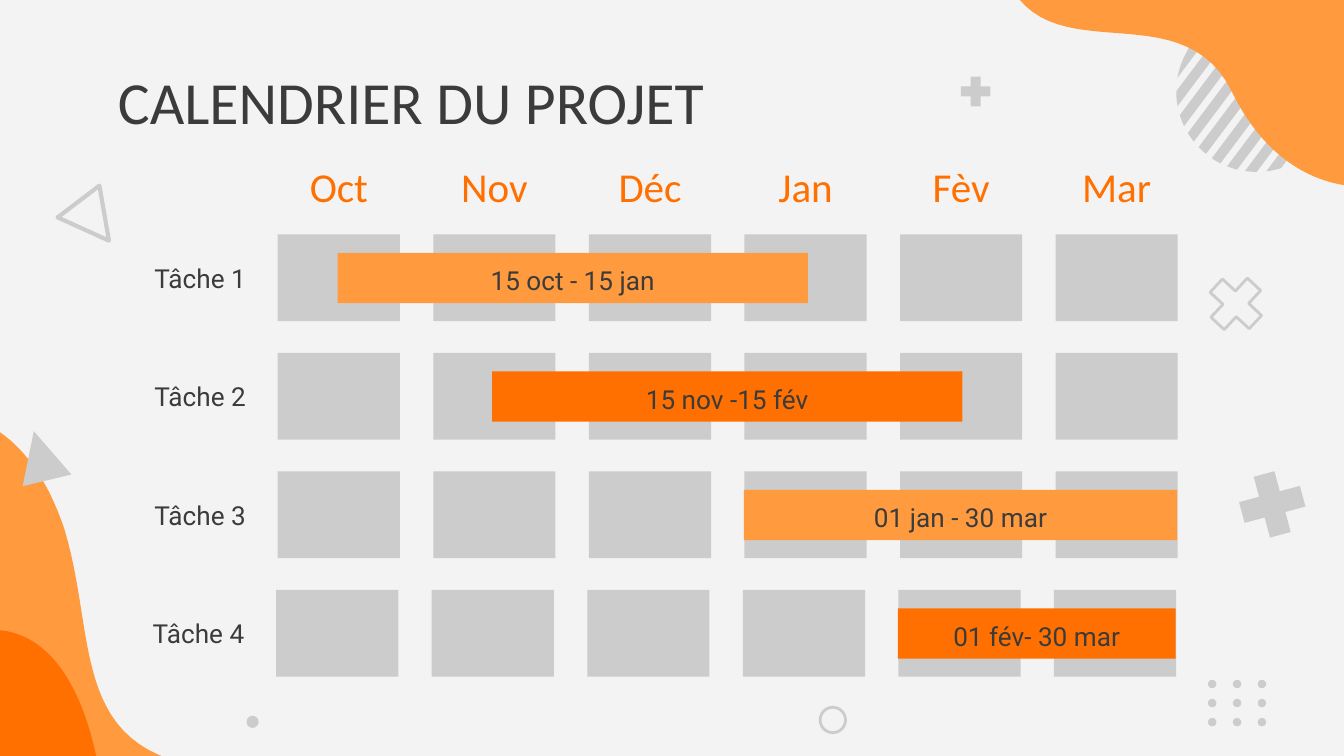
from math import sqrt

from pptx import Presentation, util as u
from pptx.dml.color import RGBColor
from pptx.enum import shapes, text

COLORS = {"bg": "F3F3F3", "grey": "CCCCCC", "light": "FF9A3F",
          "orange": "FF7000", "dark": "3B3B3B"}
KIND = shapes.MSO_SHAPE
ALIGN = text.PP_ALIGN


def rgb(name):
    return RGBColor.from_string(COLORS[name])


def write(sp, words, size=14, font="Roboto", color="dark", align=ALIGN.CENTER,
          anchor=text.MSO_ANCHOR.MIDDLE, inset=0, spacing=None, after=None):
    tf = sp.text_frame
    tf.word_wrap = True
    tf.vertical_anchor = anchor
    tf.margin_left = tf.margin_right = tf.margin_top = tf.margin_bottom = u.Cm(inset)
    p = tf.paragraphs[0]
    p.alignment = align
    if spacing:
        p.line_spacing = spacing
    if after:
        p.space_after = u.Pt(after)
    r = p.add_run()
    r.text = words
    r.font.size, r.font.name = u.Pt(size), font
    r.font.color.rgb = rgb(color)


def bezier(start, c1, c2, end, steps=24):
    """Points after start along a cubic curve."""
    points = []
    for i in range(1, steps + 1):
        t = i / steps
        weights = ((1 - t) ** 3, 3 * t * (1 - t) ** 2, 3 * t * t * (1 - t), t ** 3)
        points.append(tuple(sum(w * q[k] for w, q in zip(weights, (start, c1, c2, end)))
                            for k in (0, 1)))
    return points


class Deck:
    def __init__(self, prs):
        self.s = prs.slides.add_slide(prs.slide_layouts[6])
        self.s.background.fill.solid()
        self.s.background.fill.fore_color.rgb = rgb("bg")

    def paint(self, sp, color, line=None):
        """Solid fill, or only an outline when a line width is given."""
        sp.shadow.inherit = False
        if line:
            sp.fill.background()
            sp.line.color.rgb = rgb(color)
            sp.line.width = u.Pt(line)
        else:
            sp.fill.solid()
            sp.fill.fore_color.rgb = rgb(color)
            sp.line.fill.background()
        return sp

    def shape(self, kind, x, y, w, h, color="grey", line=None):
        sp = self.s.shapes.add_shape(kind, u.Cm(x), u.Cm(y), u.Cm(w), u.Cm(h))
        return self.paint(sp, color, line)

    def cross(self, x, y, size, angle=0, line=None):
        sp = self.shape(KIND.CROSS, x, y, size, size, line=line)
        sp.adjustments[0] = 0.33
        sp.rotation = angle

    def outline(self, points, color="grey", line=None):
        emu = [(u.Cm(x), u.Cm(y)) for x, y in points]
        builder = self.s.shapes.build_freeform(*emu[0])
        builder.add_line_segments(emu[1:], close=True)
        self.paint(builder.convert_to_shape(), color, line)

    def label(self, words, x, y, w, h, **style):
        write(self.s.shapes.add_textbox(u.Cm(x), u.Cm(y), u.Cm(w), u.Cm(h)), words, **style)


def stripe_edge(x, y, cx=23.75, cy=1.73, radius=1.52):
    """Both ends of a slanted line from (x, y), clipped to the circle."""
    dx, dy = -0.6, 0.8
    ox, oy = x - cx, y - cy
    along = ox * dx + oy * dy
    half = sqrt(max(0, along ** 2 - ox ** 2 - oy ** 2 + radius ** 2))
    return [(x + t * dx, y + t * dy) for t in (max(0, -along - half), -along + half)]


def decorations(d):
    # Striped disc
    for i in range(-2, 8):
        x, y = 23.72 + 0.18 * i, 0.28 + 0.3 * i
        edges = [stripe_edge(x + 0.1 * k / 6, y + 0.18 * k / 6) for k in range(7)]
        d.outline([e[0] for e in edges] + [e[1] for e in reversed(edges)])

    # Corner waves
    right, bend = (25.48, 3.51), (23.29, 1.75)
    d.outline([(25.45, -0.05), right]
              + bezier(right, (24.97, 3.45), (23.98, 3.15), bend)
              + bezier(bend, (22.43, -0.05), (20.22, 1.19), (19.25, -0.03)), "light")
    foot, bend = (3.2, 14.35), (1.22, 10.01)
    d.outline([(-0.03, 14.35), foot]
              + bezier(foot, (1.4, 13.72), (1.78, 11.86), bend)
              + bezier(bend, (0.89, 9.02), (0.43, 8.46), (-0.03, 8.15)), "light")
    foot = (1.83, 14.35)
    d.outline([(-0.03, 14.35), foot]
              + bezier(foot, (1.68, 13.59), (1.22, 12.01), (-0.03, 11.91)), "orange")

    # Triangles, crosses, ring and dots
    d.outline([(0.64, 8.15), (0.43, 9.19), (1.35, 8.97)])
    d.outline([(2.06, 4.55), (1.88, 3.51), (1.09, 4.11)], line=2.25)
    d.cross(18.16, 1.45, 0.56)
    d.cross(22.85, 5.24, 1.01, angle=43, line=1.5)
    d.cross(23.45, 8.94, 1.19, angle=-15)
    d.shape(KIND.OVAL, 15.5, 13.37, 0.48, 0.48, line=1.5)
    d.shape(KIND.OVAL, 4.66, 13.53, 0.23, 0.23)
    for row in range(3):
        for col in range(3):
            d.shape(KIND.OVAL, 22.83 + 0.47 * col, 12.85 + 0.36 * row, 0.16, 0.16)


def calendar(d):
    months = ["Oct", "Nov", "Déc", "Jan", "Fèv", "Mar"]
    bars = [("15 oct - 15 jan", 6.38, 8.89, "light"),
            ("15 nov -15 fév", 9.3, 8.89, "orange"),
            ("01 jan - 30 mar", 14.06, 8.19, "light"),
            ("01 fév- 30 mar", 16.97, 5.25, "orange")]
    col_step, row_step = 2.94, 2.24

    # Month headings
    for col, month in enumerate(months):
        d.label(month, 5.11 + col * col_step, 3.05, 2.59, 0.94, size=22, font="Calibri",
                color="orange", anchor=text.MSO_ANCHOR.TOP, after=16)

    # Task rows: label, month cells, bar
    for row, (dates, x, w, color) in enumerate(bars):
        drop = row * row_step
        shift = -0.03 if row == 3 else 0
        d.label(f"Tâche {row + 1}", 2.34 + shift, 4.9 + drop, 2.31, 0.71, align=ALIGN.RIGHT)
        for col in range(len(months)):
            d.shape(KIND.RECTANGLE, 5.25 + shift + col * col_step, 4.43 + drop, 2.31, 1.64)
        bar = d.shape(KIND.RECTANGLE, x, 4.78 + drop, w, 0.95, color)
        write(bar, dates, spacing=1.15)


def main():
    prs = Presentation()
    prs.slide_width, prs.slide_height = u.Cm(25.4), u.Cm(14.29)
    d = Deck(prs)
    decorations(d)
    d.label("CALENDRIER DU PROJET", 1.98, 1.24, 21.41, 1.32, size=32, font="Calibri",
            align=ALIGN.LEFT, inset=0.25)
    calendar(d)
    prs.save("out.pptx")


if __name__ == "__main__":
    main()
